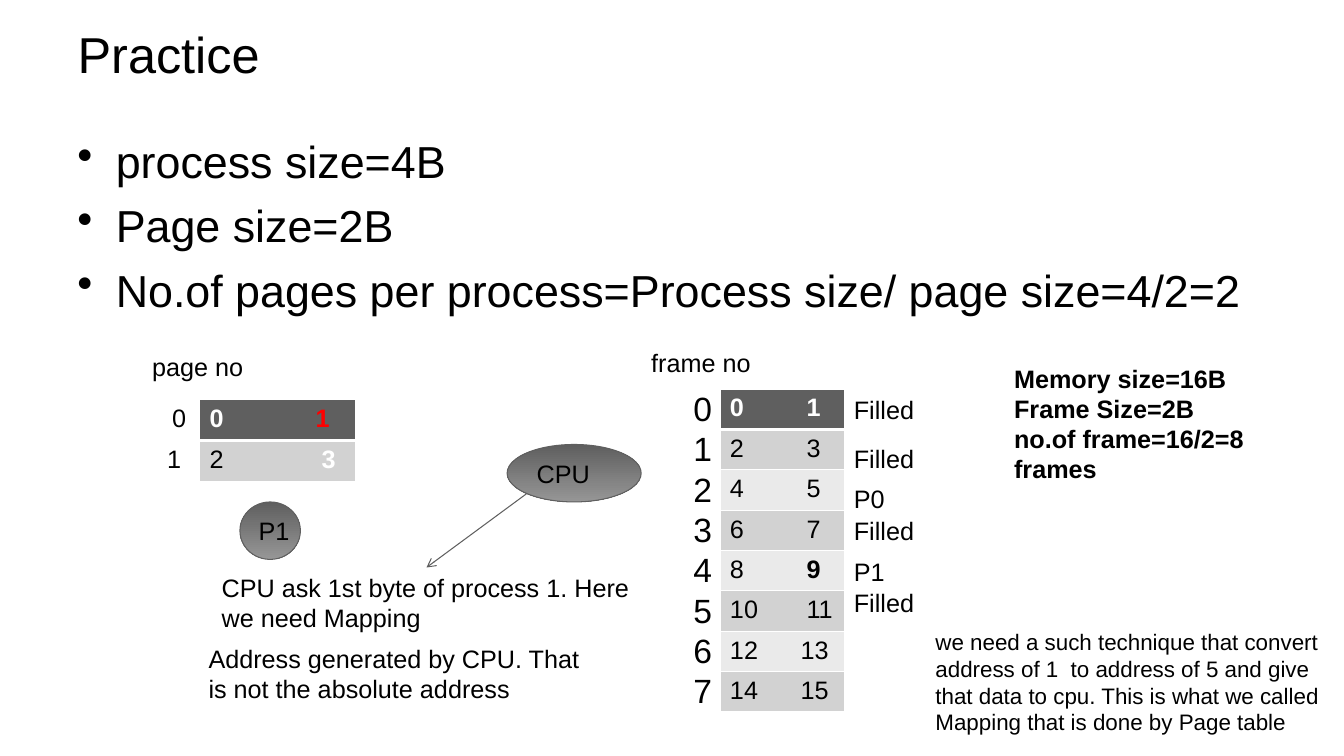
from lxml import etree
from pptx import Presentation
from pptx.dml.color import RGBColor
from pptx.enum.shapes import MSO_CONNECTOR, MSO_SHAPE
from pptx.enum.text import MSO_ANCHOR, PP_ALIGN
from pptx.oxml.ns import qn
from pptx.util import Emu, Inches, Pt

LEFT, MIDDLE = PP_ALIGN.LEFT, MSO_ANCHOR.MIDDLE
COLORS = {"black": "000000", "white": "FFFFFF", "red": "FF0000", "dark": "5F5F5F",
          "mid": "969696", "band": "D2D2D2", "light": "EAEAEA"}


def rgb(name):
    return RGBColor.from_string(COLORS[name])


def write(tf, lines, size, bold=False):
    """Fill a text frame with left-aligned black paragraphs."""
    tf.text = "\n".join(lines)
    for p in tf.paragraphs:
        p.alignment = LEFT
        for r in p.runs:
            r.font.name, r.font.size, r.font.bold = "Arial", Pt(size), bold
            r.font.color.rgb = rgb("black")


prs = Presentation()
prs.slide_width, prs.slide_height = Inches(13.33), Inches(7.5)
s = prs.slides.add_slide(prs.slide_layouts[5])

# Title
title = s.shapes.title
title.left, title.top = Inches(0.67), Inches(0.21)
title.width, title.height = Inches(12), Inches(0.64)
write(title.text_frame, ["Practice"], 36)
title.text_frame.vertical_anchor = MIDDLE

# Bulleted sizes
tb = s.shapes.add_textbox(Inches(0.67), Inches(1.28), Inches(12), Inches(1.91))
tf = tb.text_frame
tf.word_wrap = True
write(tf, ["process size=4B", "Page size=2B",
           "No.of pages per process=Process size/ page size=4/2=2"], 32)
for p in tf.paragraphs:
    p.space_before = Pt(7.4)
    pPr = p._p.get_or_add_pPr()
    pPr.set("marL", str(Inches(0.38)))
    pPr.set("indent", str(-Inches(0.38)))
    etree.SubElement(pPr, qn("a:buChar")).set("char", "•")

# Page and frame tables: (first byte, second byte, tab, second colour, second bold)
page_rows = [("0", "1", 1.05, "red", True), ("2", "3", 1.11, "white", True)]
frame_rows = [(str(2 * i), str(2 * i + 1), 0.76 if i < 6 else 0.7,
               "black" if i else "white", i in (0, 4)) for i in range(8)]
for rows, x, y, w, row_h in ((page_rows, 1.98, 3.96, 1.55, 0.41),
                             (frame_rows, 7.14, 3.86, 1.24, 0.4)):
    table = s.shapes.add_table(len(rows), 1, Inches(x), Inches(y),
                               Inches(w), Inches(row_h * len(rows))).table
    for i, (first, second, tab, color, bold) in enumerate(rows):
        table.rows[i].height = Inches(row_h)
        cell = table.cell(i, 0)
        p = cell.text_frame.paragraphs[0]
        p.text = first + "\t"
        p.add_run().text = second
        tabs = etree.SubElement(p._p.get_or_add_pPr(), qn("a:tabLst"))
        etree.SubElement(tabs, qn("a:tab"), pos=str(Inches(tab)), algn="l")
        for r in p.runs:
            r.font.name, r.font.size, r.font.bold = "Arial", Pt(18), i == 0
            r.font.color.rgb = rgb("black" if i else "white")
        p.runs[-1].font.bold = bold
        p.runs[-1].font.color.rgb = rgb(color)
        tcPr = cell._tc.get_or_add_tcPr()
        for side in "LRTB":
            thick = (side == "B" and i == 0) or (side == "T" and i == 1)
            ln = etree.SubElement(tcPr, qn(f"a:ln{side}"), w=str(Pt(3 if thick else 1)))
            fill = etree.SubElement(ln, qn("a:solidFill"))
            etree.SubElement(fill, qn("a:srgbClr"), val=COLORS["white"])
        cell.fill.solid()
        cell.fill.fore_color.rgb = rgb("dark" if i == 0 else "band" if i % 2 else "light")

# Process and CPU ellipses
for text, x, y, w in (("P1", 2.38, 4.98, 0.6), ("CPU", 5.03, 4.41, 1.33)):
    sp = s.shapes.add_shape(MSO_SHAPE.OVAL, Inches(x), Inches(y), Inches(w), Inches(0.57))
    sp.shadow.inherit = False
    sp.fill.gradient()
    sp.fill.gradient_angle = 270
    for stop, color, position in zip(sp.fill.gradient_stops, ("dark", "mid"), (0, 1)):
        stop.color.rgb, stop.position = rgb(color), position
    sp.line.color.rgb, sp.line.width = rgb("dark"), Pt(0.75)
    write(sp.text_frame, [text], 18)
    sp.text_frame.word_wrap = False
    sp.text_frame.vertical_anchor = MIDDLE

# Arrow from the CPU to its request
arrow = s.shapes.add_connector(MSO_CONNECTOR.STRAIGHT, Inches(5.22), Inches(4.9),
                               Inches(4.23), Inches(5.63))
arrow.line.color.rgb, arrow.line.width = rgb("dark"), Pt(0.75)
etree.SubElement(arrow.line._get_or_add_ln(), qn("a:tailEnd"), type="arrow")
etree.SubElement(arrow._element.spPr, qn("a:effectLst"))

# Labels and notes: (lines, left, top, width, height, size, bold)
labels = [
    (["page no"], 1.41, 3.44, 1.19, 0.4, 18, False),
    (["0"], 1.61, 3.94, 0.36, 0.4, 18, False),
    (["1"], 1.56, 4.35, 0.4, 0.4, 18, False),
    (["frame no"], 6.36, 3.4, 1.19, 0.4, 18, False),
    ([str(i) for i in range(8)], 6.78, 3.8, 0.36, 3.33, 24, False),
    (["Memory size=16B", "Frame Size=2B", "no.of frame=16/2=8 frames"],
     9.96, 3.55, 2.86, 1.31, 18, True),
    (["CPU ask 1st byte of process 1. Here we need Mapping"],
     2.1, 5.63, 4.26, 0.71, 18, False),
    (["Address generated by CPU. That is not the absolute address"],
     1.97, 6.33, 4.03, 0.71, 18, False),
    (["we need a such technique that convert address of 1  to address of 5 and give "
      "that data to cpu. This is what we called Mapping that is done by Page table"],
     9.18, 6.18, 4.03, 1.18, 16, False),
]
frame_states = [("Filled", 3.86), ("Filled", 4.35), ("P0", 4.75),
                ("Filled", 5.06), ("P1", 5.47), ("Filled", 5.78)]
labels += [([state], 8.37, y, 1.19, 0.4, 18, False) for state, y in frame_states]
for lines, x, y, w, h, size, bold in labels:
    tb = s.shapes.add_textbox(Inches(x), Inches(y), Inches(w), Inches(h))
    tb.text_frame.word_wrap = True
    write(tb.text_frame, lines, size, bold)

prs.save("out.pptx")
